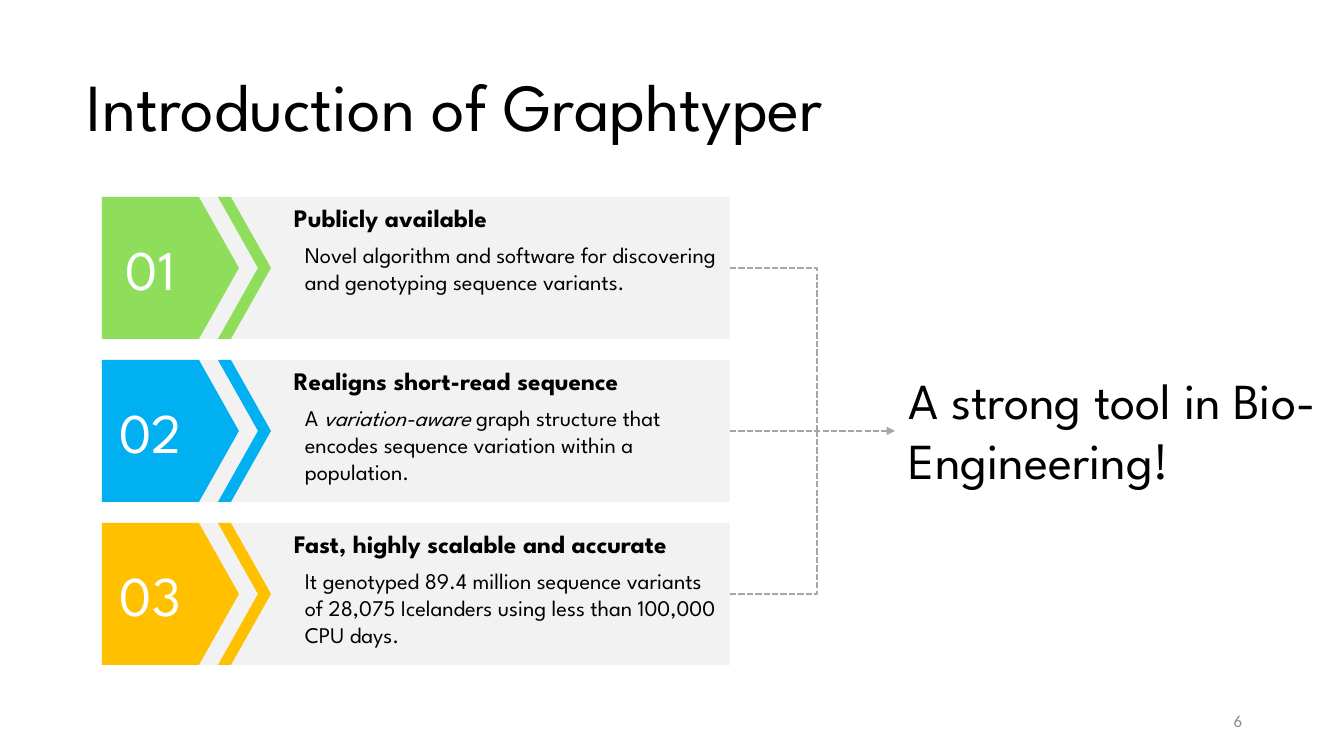
from pptx import Presentation
from pptx.dml.color import RGBColor
from pptx.enum.dml import MSO_LINE_DASH_STYLE as Dash
from pptx.enum.shapes import MSO_CONNECTOR as Link, MSO_SHAPE as Shape
from pptx.enum.text import MSO_ANCHOR as Anchor, PP_ALIGN as Align
from pptx.oxml.ns import qn
from pptx.util import Pt
from lxml.etree import SubElement

SCALE = 914400 / 100.8
FONT = "League Spartan"
CARDS = [
    ("01", "8EDE5C", "Publicly available",
     ["Novel algorithm and software for discovering and genotyping "
      "sequence variants."]),
    ("02", "00B0F0", "Realigns short-read sequence",
     ["A ", "variation-aware", " graph structure that encodes sequence "
      "variation within a population."]),
    ("03", "FFC000", "Fast, highly scalable and accurate",
     ["It genotyped 89.4 million sequence variants of 28,075 Icelanders "
      "using less than 100,000 CPU days."]),
]


def px(n):
    return round(n * SCALE)


def color(code):
    return RGBColor.from_string(code)


def paint(shape, fill):
    shape.shadow.inherit = False
    shape.fill.solid()
    shape.fill.fore_color.rgb = color(fill)
    shape.line.fill.background()
    return shape


def text(slide, box, runs, size, fill="000000", font=FONT, bold=False,
         align=Align.LEFT, anchor=Anchor.TOP):
    """Every second run is italic."""
    frame = slide.shapes.add_textbox(*map(px, box)).text_frame
    frame.word_wrap = True
    frame.vertical_anchor = anchor
    para = frame.paragraphs[0]
    para.alignment = align
    for i, words in enumerate(runs):
        run = para.add_run()
        run.text = words
        run.font.name = font
        run.font.size = Pt(size)
        run.font.bold = bold
        run.font.italic = i % 2 == 1
        run.font.color.rgb = color(fill)


def outline(slide, points, fill):
    spots = [(px(x), px(y)) for x, y in points]
    form = slide.shapes.build_freeform(*spots[0])
    form.add_line_segments(spots[1:], close=True)
    paint(form.convert_to_shape(), fill)


def card(slide, box, num, fill, head, body):
    x, y, w, h = box
    mid, end = y + h / 2, y + h
    panel = slide.shapes.add_shape(Shape.RECTANGLE, *map(px, box))
    paint(panel, "F2F2F2")
    # Number tag and chevron
    outline(slide, [(x, y), (x + 97, y), (x + 137, mid), (x + 97, end),
                    (x, end)], fill)
    outline(slide, [(x + 116, y), (x + 129, y), (x + 169, mid),
                    (x + 129, end), (x + 116, end), (x + 156, mid)], fill)
    # Wording
    text(slide, (x, y + 33, 97, 78), [num], 40, "FFFFFF", align=Align.CENTER)
    text(slide, (x + 182, y, w - 182, 41), [head], 18, bold=True)
    text(slide, (x + 193, y + 39, 434, 92), body, 16)
    return panel


def link(slide, kind, start, end):
    line = slide.shapes.add_connector(kind, *map(px, start + end))
    line.line.color.rgb = color("A6A6A6")
    line.line.width = Pt(1.5)
    line.line.dash_style = Dash.SQUARE_DOT
    SubElement(line._element.spPr, qn("a:effectLst"))
    return line


def merge(slide, panels, box):
    """Bring the outer cards into the arrow that leaves the middle one."""
    x, y, w, h = box
    mid = y + h / 2
    for edge in (y, y + h):
        bend = link(slide, Link.ELBOW, (x, edge), (x + 87, mid))
        bend._element.spPr.find(qn("a:prstGeom")).set("prst", "bentConnector2")
    arrow = link(slide, Link.STRAIGHT, (x, mid), (x + w, mid))
    arrow.begin_connect(panels[1], 3)
    SubElement(arrow.line._get_or_add_ln(), qn("a:tailEnd"), type="triangle")


def cards(slide, box):
    x, y, w, h = box
    tall, step = 142, (h - 142) // 2
    panels = [card(slide, (x, y + i * step, w, tall), *item)
              for i, item in enumerate(CARDS)]
    merge(slide, panels, (x + w, y + tall / 2, 165, 2 * step))


def main():
    deck = Presentation()
    deck.slide_width, deck.slide_height = px(1344), px(756)
    slide = deck.slides.add_slide(deck.slide_layouts[6])
    text(slide, (77, 59, 1190, 92), ["Introduction of Graphtyper"], 48)
    cards(slide, (102, 197, 628, 468))
    # Conclusion and page number
    text(slide, (899, 364, 434, 132), ["A strong tool in Bio-Engineering!"], 36)
    text(slide, (950, 701, 302, 40), ["6"], 12, "8C8C8C", "Calibri",
         align=Align.RIGHT, anchor=Anchor.MIDDLE)
    deck.save("out.pptx")


if __name__ == "__main__":
    main()
